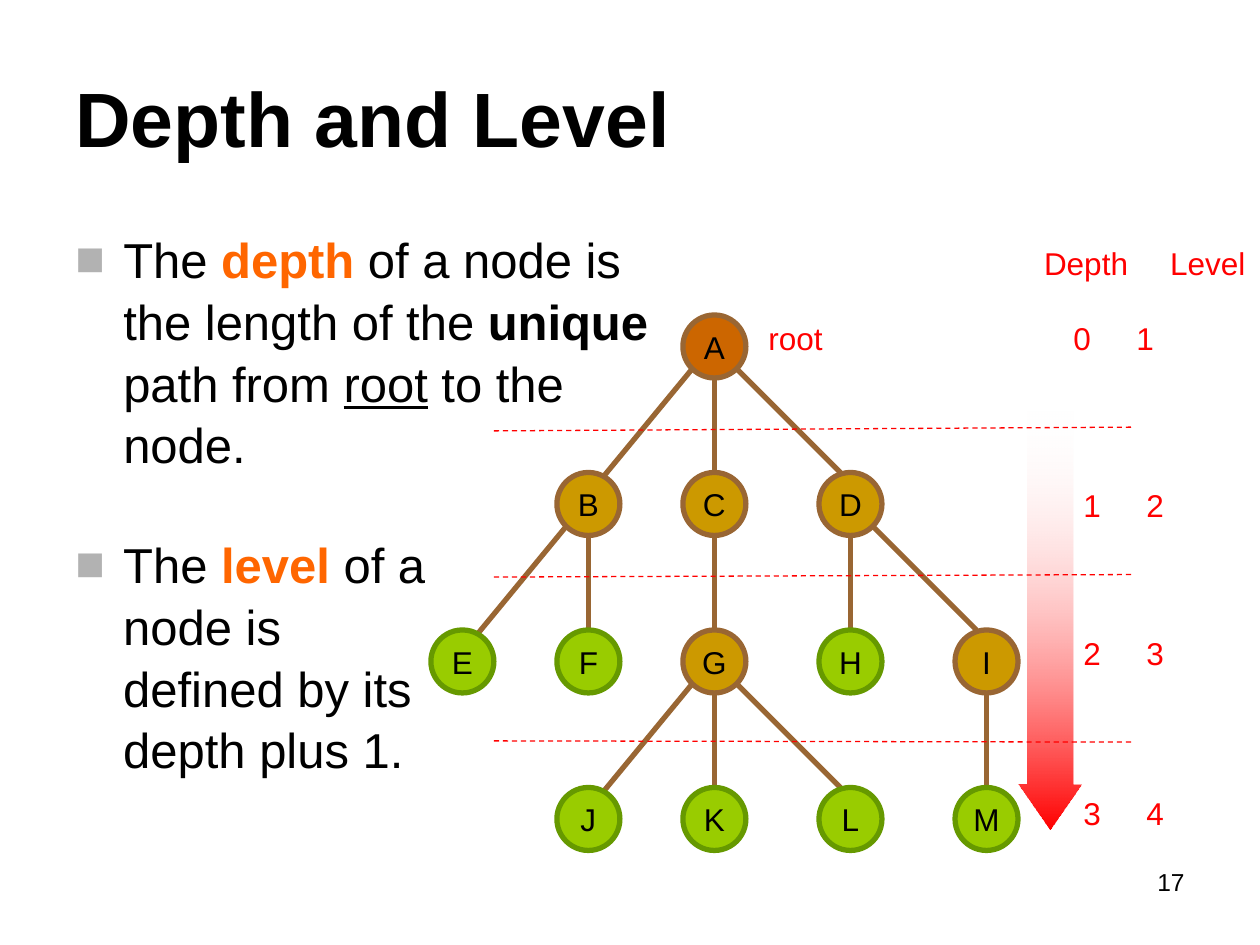
from typing import NamedTuple

from lxml.etree import SubElement
from pptx import Presentation
from pptx.dml.color import RGBColor
from pptx.enum.dml import MSO_LINE
from pptx.enum.shapes import MSO_CONNECTOR, MSO_SHAPE
from pptx.enum.text import MSO_ANCHOR, PP_ALIGN
from pptx.oxml.ns import qn
from pptx.util import Inches, Pt

FONT = "Arial"
BLACK, RED, ORANGE, BULLET_GREY = "000000", "FF0000", "FF6600", "B2B2B2"
BRANCH = "996633"
NODE_SIZE = 0.5


class NodeStyle(NamedTuple):
    fill: str
    outline: str


class Node(NamedTuple):
    name: str
    x: float
    depth: int
    style: NodeStyle
    parent: str = ""

    @property
    def y(self) -> float:
        return 2.75 + 1.25 * self.depth


class Label(NamedTuple):
    text: str
    left: float
    top: float
    width: float
    align: PP_ALIGN = PP_ALIGN.LEFT


class Span(NamedTuple):
    text: str
    color: str = BLACK
    bold: bool = False
    underline: bool = False


ROOT = NodeStyle("CC6600", BRANCH)
INNER = NodeStyle("CC9900", BRANCH)
LEAF = NodeStyle("99CC00", "669900")

COLUMNS = (3.67, 4.67, 5.67, 6.75, 7.83)
NODES = [
    Node("A", COLUMNS[2], 0, ROOT),
    Node("B", COLUMNS[1], 1, INNER, "A"),
    Node("C", COLUMNS[2], 1, INNER, "A"),
    Node("D", COLUMNS[3], 1, INNER, "A"),
    Node("E", COLUMNS[0], 2, LEAF, "B"),
    Node("F", COLUMNS[1], 2, LEAF, "B"),
    Node("G", COLUMNS[2], 2, INNER, "C"),
    Node("H", COLUMNS[3], 2, LEAF, "D"),
    Node("I", COLUMNS[4], 2, INNER, "D"),
    Node("J", COLUMNS[1], 3, LEAF, "G"),
    Node("K", COLUMNS[2], 3, LEAF, "G"),
    Node("L", COLUMNS[3], 3, LEAF, "G"),
    Node("M", COLUMNS[4], 3, LEAF, "I"),
]
LABELS = [
    Label("Depth\tLevel", 8.17, 1.89, 1.83, PP_ALIGN.CENTER),
    Label("root", 6, 2.48, 1.58),
    Label("0\t1", 8.42, 2.48, 1.58),
    Label("1\t2", 8.5, 3.81, 1.58),
    Label("2\t3", 8.5, 4.98, 1.5),
    Label("3\t4", 8.5, 6.25, 1.42),
]
LEVEL_DIVIDERS = [(3.42, 3.39), (4.58, 4.56), (5.88, 5.89)]
DEPTH_DEFINITION = [
    Span("The "), Span("depth", ORANGE, bold=True),
    Span(" of a node is the length of the "), Span("unique", bold=True),
    Span(" path from "), Span("root", underline=True), Span(" to the node."),
]
LEVEL_DEFINITION = [
    Span("The "), Span("level", ORANGE, bold=True),
    Span(" of a node is defined by its depth plus 1."),
]


def rgb(color: str) -> RGBColor:
    return RGBColor.from_string(color)


def set_font(paragraph, size: float, color: str, bold: bool = False) -> None:
    font = paragraph.font
    font.name, font.size, font.bold = FONT, Pt(size), bold
    font.color.rgb = rgb(color)


def add_text_frame(slide, left: float, top: float, width: float, height: float):
    box = slide.shapes.add_textbox(Inches(left), Inches(top), Inches(width), Inches(height))
    box.text_frame.word_wrap = True
    return box.text_frame


def add_label(slide, label: Label) -> None:
    paragraph = add_text_frame(slide, label.left, label.top, label.width, 0.4).paragraphs[0]
    paragraph.text = label.text
    paragraph.alignment = label.align
    set_font(paragraph, 18, RED)


def add_definition(slide, spans: list[Span], top: float, width: float, height: float) -> None:
    """Add one square-bulleted statement with emphasised words."""
    paragraph = add_text_frame(slide, 0.5, top, width, height).paragraphs[0]
    paragraph.line_spacing = 1.05
    properties = paragraph._p.get_or_add_pPr()
    properties.set("marL", str(Inches(0.38)))
    properties.set("indent", str(Inches(-0.38)))
    bullet_color = SubElement(properties, qn("a:buClr"))
    SubElement(bullet_color, qn("a:srgbClr"), val=BULLET_GREY)
    SubElement(properties, qn("a:buFont"), typeface=FONT)
    SubElement(properties, qn("a:buChar"), char="■")
    set_font(paragraph, 28, BLACK)
    for span in spans:
        run = paragraph.add_run()
        run.text = span.text
        run.font.color.rgb = rgb(span.color)
        run.font.bold = span.bold
        run.font.underline = span.underline


def add_line(slide, start: tuple[float, float], end: tuple[float, float],
             color: str, width: float):
    line = slide.shapes.add_connector(
        MSO_CONNECTOR.STRAIGHT, *(Inches(value) for value in (*start, *end)))
    line.line.color.rgb = rgb(color)
    line.line.width = Pt(width)
    SubElement(line._element.spPr, qn("a:effectLst"))
    return line


def add_branch(slide, parent: Node, child: Node) -> None:
    """Join two nodes, leaving the parent at its bottom or a lower corner."""
    if child.x < parent.x:
        child_offset, parent_offset = (0.08, -0.17), (-0.17, 0.17)
    elif child.x > parent.x:
        child_offset, parent_offset = (-0.08, -0.25), (0.17, 0.17)
    else:
        child_offset, parent_offset = (0, -0.25), (0, 0.25)
    add_line(slide,
             (child.x + child_offset[0], child.y + child_offset[1]),
             (parent.x + parent_offset[0], parent.y + parent_offset[1]), BRANCH, 3)


def add_node(slide, node: Node) -> None:
    circle = slide.shapes.add_shape(
        MSO_SHAPE.OVAL, Inches(node.x - NODE_SIZE / 2), Inches(node.y - NODE_SIZE / 2),
        Inches(NODE_SIZE), Inches(NODE_SIZE))
    circle.shadow.inherit = False
    circle.fill.solid()
    circle.fill.fore_color.rgb = rgb(node.style.fill)
    circle.line.color.rgb = rgb(node.style.outline)
    circle.line.width = Pt(3)
    frame = circle.text_frame
    frame.word_wrap = False
    frame.vertical_anchor = MSO_ANCHOR.MIDDLE
    paragraph = frame.paragraphs[0]
    paragraph.text = node.name
    paragraph.alignment = PP_ALIGN.CENTER
    set_font(paragraph, 18, BLACK)


def add_depth_arrow(slide) -> None:
    """Add the downward arrow that fades in from transparent to red."""
    arrow = slide.shapes.add_shape(
        MSO_SHAPE.UP_ARROW, Inches(8.08), Inches(3.25), Inches(0.5), Inches(3.33))
    arrow.rotation = 180
    arrow.adjustments[0], arrow.adjustments[1] = 0.72, 0.73
    arrow.shadow.inherit = False
    arrow.line.fill.background()
    arrow.fill.gradient()
    arrow.fill.gradient_angle = 270
    for stop, color in zip(arrow.fill.gradient_stops, (RED, "FFFFFF")):
        stop.color.rgb = rgb(color)
    faded = arrow._element.spPr.findall(".//" + qn("a:gs"))[-1]
    SubElement(faded.find(qn("a:srgbClr")), qn("a:alpha"), val="0")


def main() -> None:
    deck = Presentation()
    deck.slide_width, deck.slide_height = Inches(10), Inches(7.5)
    slide = deck.slides.add_slide(deck.slide_layouts[6])

    title_frame = add_text_frame(slide, 0.5, 0.3, 9, 1.25)
    title_frame.vertical_anchor = MSO_ANCHOR.MIDDLE
    title_frame.text = "Depth and Level"
    set_font(title_frame.paragraphs[0], 44, BLACK, bold=True)

    page_number = add_text_frame(slide, 7.17, 6.83, 2.33, 0.52).paragraphs[0]
    page_number.text = "17"
    page_number.alignment = PP_ALIGN.RIGHT
    set_font(page_number, 14, BLACK)

    add_definition(slide, DEPTH_DEFINITION, 1.75, 4.92, 1.92)
    add_definition(slide, LEVEL_DEFINITION, 4.17, 3, 2.66)
    add_depth_arrow(slide)

    by_name = {node.name: node for node in NODES}
    for node in NODES:
        if node.parent:
            add_branch(slide, by_name[node.parent], node)
    for node in NODES:
        add_node(slide, node)
    for label in LABELS:
        add_label(slide, label)
    for left_y, right_y in LEVEL_DIVIDERS:
        divider = add_line(slide, (3.92, left_y), (9, right_y), RED, 0.75)
        divider.line.dash_style = MSO_LINE.DASH

    deck.save("out.pptx")


if __name__ == "__main__":
    main()
